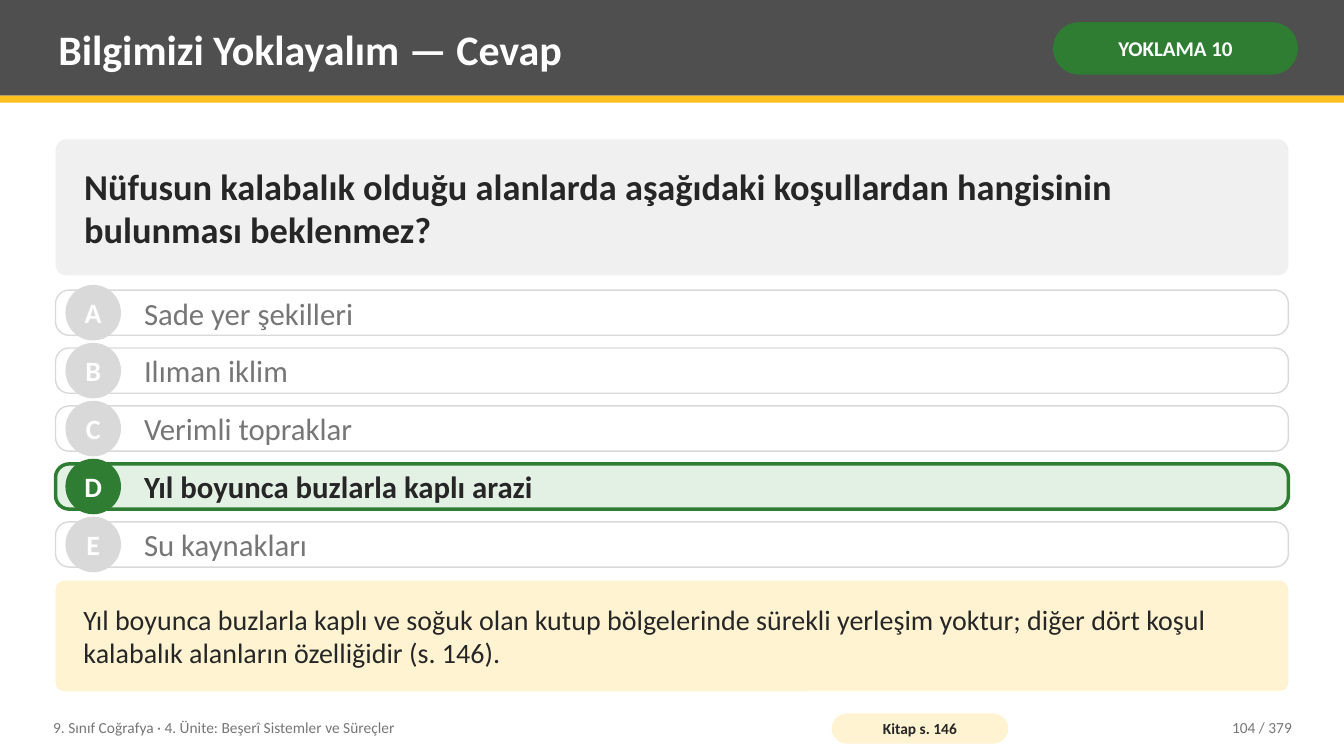
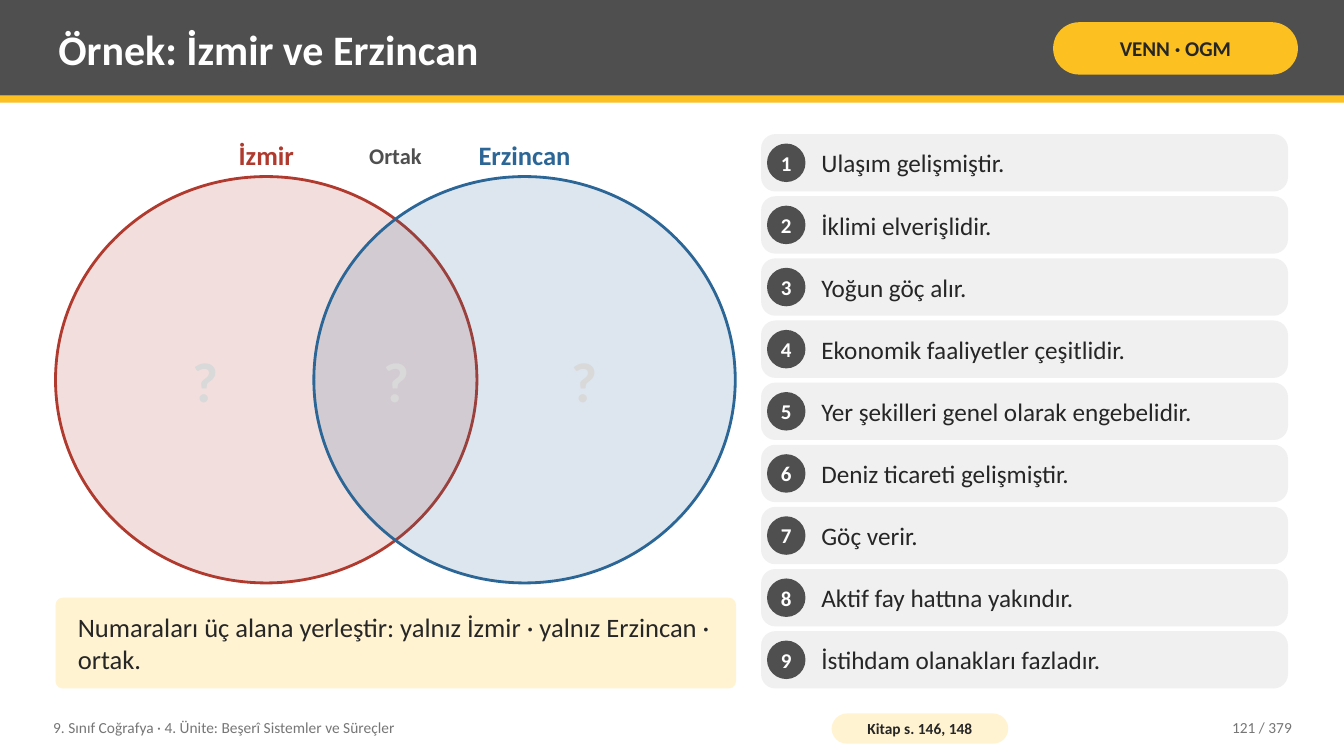
from dataclasses import dataclass
from typing import NamedTuple, Optional

from lxml.etree import SubElement
from pptx import Presentation
from pptx.dml.color import RGBColor
from pptx.enum.shapes import MSO_SHAPE as Preset
from pptx.enum.text import MSO_ANCHOR as Anchor, PP_ALIGN as Align
from pptx.oxml.ns import qn
from pptx.shapes.autoshape import Shape
from pptx.slide import Slide
from pptx.util import Cm, Pt

WHITE = RGBColor(0xFF, 0xFF, 0xFF)
INK = RGBColor(0x26, 0x26, 0x26)
CHARCOAL = RGBColor(0x4F, 0x4F, 0x4F)
MUTED = RGBColor(0x76, 0x76, 0x76)
SILVER = RGBColor(0xD9, 0xD9, 0xD9)
PALE_GREY = RGBColor(0xF0, 0xF0, 0xF0)
YELLOW = RGBColor(0xFC, 0xC0, 0x21)
CREAM = RGBColor(0xFF, 0xF3, 0xD1)
GREEN = RGBColor(0x2E, 0x7D, 0x32)
PALE_GREEN = RGBColor(0xE3, 0xF1, 0xE4)
RED = RGBColor(0xB0, 0x3A, 0x2E)
BLUE = RGBColor(0x2C, 0x66, 0x96)

FONT = "Calibri"
COURSE = "9. Sınıf Coğrafya · 4. Ünite: Beşerî Sistemler ve Süreçler"
SLIDE_COUNT = 379
SLIDE_WIDTH, SLIDE_HEIGHT = 33.87, 19.05
MARGIN = 1.4
CONTENT_WIDTH = SLIDE_WIDTH - 2 * MARGIN


class Box(NamedTuple):
    """Position and size in centimetres."""
    left: float
    top: float
    width: float
    height: float


@dataclass(frozen=True)
class RowStyle:
    """Look of a rounded row with a numbered or lettered disc."""
    fill: RGBColor
    disc: RGBColor
    text_color: RGBColor
    text_size: float
    disc_text_size: float
    disc_size: float
    disc_indent: float
    text_indent: float
    text_margin: float
    corner: float
    line: Optional[RGBColor] = None
    line_width: float = 1
    bold: bool = False


@dataclass(frozen=True)
class VennSet:
    name: str
    color: RGBColor
    left: float


OPTION = RowStyle(WHITE, SILVER, MUTED, 22, 20, 1.4, 0.25, 2.03, 0.51, 0.3, SILVER)
ANSWER = RowStyle(PALE_GREEN, GREEN, INK, 22, 20, 1.4, 0.25, 2.03, 0.51, 0.3,
                  GREEN, 2.5, True)
STATEMENT = RowStyle(PALE_GREY, CHARCOAL, INK, 18, 15, 0.97, 0.15, 1.32, 0.13, 0.25)


def write_text(shape: Shape, text: str, *, size: float, color: RGBColor = INK,
               bold: bool = False, align: Align = Align.LEFT,
               inset: tuple[float, float] = (0.2, 0.1), wrap: bool = True) -> None:
    """Put one paragraph in the shape; inset is horizontal, then vertical."""
    frame = shape.text_frame
    frame.word_wrap = wrap
    frame.vertical_anchor = Anchor.MIDDLE
    frame.margin_left = frame.margin_right = Cm(inset[0])
    frame.margin_top = frame.margin_bottom = Cm(inset[1])
    paragraph = frame.paragraphs[0]
    paragraph.alignment = align
    run = paragraph.add_run()
    run.text = text
    run.font.name = FONT
    run.font.size = Pt(size)
    run.font.bold = bold
    run.font.color.rgb = color


def add_label(slide: Slide, box: Box, text: str, **text_format) -> None:
    write_text(slide.shapes.add_textbox(*map(Cm, box)), text, **text_format)


def add_panel(slide: Slide, preset: Preset, box: Box, fill: RGBColor, *,
              corner: Optional[float] = None, line: Optional[RGBColor] = None,
              line_width: float = 1, opacity: Optional[int] = None) -> Shape:
    """Draw a filled preset shape; opacity is a percentage."""
    shape = slide.shapes.add_shape(preset, *map(Cm, box))
    shape.shadow.inherit = False
    shape.fill.solid()
    shape.fill.fore_color.rgb = fill
    if corner is not None:
        shape.adjustments[0] = corner
    if line is None:
        shape.line.fill.background()
    else:
        shape.line.color.rgb = line
        shape.line.width = Pt(line_width)
    if opacity is not None:
        color = shape.element.spPr.find(qn("a:solidFill")).find(qn("a:srgbClr"))
        SubElement(color, qn("a:alpha")).set("val", str(opacity * 1000))
    return shape


def add_card(slide: Slide, box: Box, fill: RGBColor, text: str, *,
             corner: float = 0.08, **text_format) -> None:
    shape = add_panel(slide, Preset.ROUNDED_RECTANGLE, box, fill, corner=corner)
    write_text(shape, text, **text_format)


def add_row(slide: Slide, box: Box, mark: str, text: str, style: RowStyle) -> None:
    add_panel(slide, Preset.ROUNDED_RECTANGLE, box, style.fill, corner=style.corner,
              line=style.line, line_width=style.line_width)
    disc_top = box.top + (box.height - style.disc_size) / 2
    disc = add_panel(slide, Preset.OVAL,
                     Box(box.left + style.disc_indent, disc_top,
                         style.disc_size, style.disc_size), style.disc)
    write_text(disc, mark, size=style.disc_text_size, color=WHITE, bold=True,
               align=Align.CENTER, inset=(0, 0), wrap=False)
    text_width = box.width - style.text_indent - style.text_margin
    add_label(slide, Box(box.left + style.text_indent, box.top, text_width, box.height),
              text, size=style.text_size, color=style.text_color, bold=style.bold)


def add_header(slide: Slide, title: str, badge: str, badge_fill: RGBColor,
               badge_color: RGBColor) -> None:
    add_panel(slide, Preset.RECTANGLE, Box(0, 0, SLIDE_WIDTH, 2.41), CHARCOAL)
    add_panel(slide, Preset.RECTANGLE, Box(0, 2.41, SLIDE_WIDTH, 0.18), YELLOW)
    add_label(slide, Box(1.27, 0.18, 24.77, 2.08), title, size=30, color=WHITE, bold=True)
    add_card(slide, Box(26.54, 0.56, 6.17, 1.32), badge_fill, badge, corner=0.5, size=15,
             color=badge_color, bold=True, align=Align.CENTER, inset=(0.13, 0.05))


def add_footer(slide: Slide, book_pages: str, number: int) -> None:
    add_label(slide, Box(1.14, 17.88, 19.3, 0.91), COURSE, size=11, color=MUTED)
    add_card(slide, Box(20.96, 17.98, 4.45, 0.76), CREAM, f"Kitap s. {book_pages}",
             corner=0.5, size=11, bold=True, align=Align.CENTER, inset=(0.1, 0))
    add_label(slide, Box(28.7, 17.88, 4.06, 0.91), f"{number} / {SLIDE_COUNT}",
              size=11, color=MUTED, align=Align.RIGHT)


def build_answer_slide(slide: Slide) -> None:
    add_header(slide, "Bilgimizi Yoklayalım — Cevap", "YOKLAMA 10", GREEN, WHITE)
    add_card(slide, Box(MARGIN, 3.51, CONTENT_WIDTH, 3.43), PALE_GREY,
             "Nüfusun kalabalık olduğu alanlarda aşağıdaki koşullardan hangisinin "
             "bulunması beklenmez?", size=26, bold=True, inset=(0.64, 0.2))
    options = {
        "A": "Sade yer şekilleri",
        "B": "Ilıman iklim",
        "C": "Verimli topraklar",
        "D": "Yıl boyunca buzlarla kaplı arazi",
        "E": "Su kaynakları",
    }
    for index, (letter, text) in enumerate(options.items()):
        add_row(slide, Box(MARGIN, 7.31 + index * 1.46, CONTENT_WIDTH, 1.14),
                letter, text, ANSWER if letter == "D" else OPTION)
    add_card(slide, Box(MARGIN, 14.63, CONTENT_WIDTH, 2.79), CREAM,
             "Yıl boyunca buzlarla kaplı ve soğuk olan kutup bölgelerinde sürekli "
             "yerleşim yoktur; diğer dört koşul kalabalık alanların özelliğidir (s. 146).",
             size=20, inset=(0.64, 0.2))
    add_footer(slide, "146", 104)


def add_venn(slide: Slide, first: VennSet, second: VennSet, label_top: float) -> None:
    circle_width, circle_height, circle_top = 10.62, 10.24, 4.45
    label_height = circle_top - label_top
    for venn_set in (first, second):
        add_panel(slide, Preset.OVAL,
                  Box(venn_set.left, circle_top, circle_width, circle_height),
                  venn_set.color, line=venn_set.color, line_width=2, opacity=16)
        add_label(slide, Box(venn_set.left, label_top, circle_width, label_height),
                  venn_set.name, size=19, color=venn_set.color, bold=True,
                  align=Align.CENTER)
    overlap = first.left + circle_width - second.left
    add_label(slide, Box(second.left, label_top, overlap, label_height), "Ortak",
              size=16, color=CHARCOAL, bold=True, align=Align.CENTER)
    for left, width in ((2.67, 5.03), (8.08, 3.81), (12.22, 5.03)):
        add_label(slide, Box(left, 6.2, width, 6.76), "?", size=40, color=SILVER,
                  bold=True, align=Align.CENTER)


def build_venn_slide(slide: Slide) -> None:
    top, bottom, gap = 3.38, 17.35, 0.12
    add_header(slide, "Örnek: İzmir ve Erzincan", "VENN · OGM", YELLOW, INK)
    add_venn(slide, VennSet("İzmir", RED, MARGIN), VennSet("Erzincan", BLUE, 7.91), top)
    note_height = 2.29
    add_card(slide, Box(MARGIN, bottom - note_height, 17.15, note_height), CREAM,
             "Numaraları üç alana yerleştir: yalnız İzmir · yalnız Erzincan · ortak.",
             size=19, inset=(0.51, 0.2))
    statements = (
        "Ulaşım gelişmiştir.",
        "İklimi elverişlidir.",
        "Yoğun göç alır.",
        "Ekonomik faaliyetler çeşitlidir.",
        "Yer şekilleri genel olarak engebelidir.",
        "Deniz ticareti gelişmiştir.",
        "Göç verir.",
        "Aktif fay hattına yakındır.",
        "İstihdam olanakları fazladır.",
    )
    pitch = (bottom - top + gap) / len(statements)
    for index, text in enumerate(statements):
        add_row(slide, Box(19.18, top + index * pitch, 13.28, pitch - gap),
                str(index + 1), text, STATEMENT)
    add_footer(slide, "146, 148", 121)


def main() -> None:
    presentation = Presentation()
    presentation.slide_width = Cm(SLIDE_WIDTH)
    presentation.slide_height = Cm(SLIDE_HEIGHT)
    blank_layout = presentation.slide_layouts[6]
    for build in (build_answer_slide, build_venn_slide):
        build(presentation.slides.add_slide(blank_layout))
    presentation.save("out.pptx")


if __name__ == "__main__":
    main()
